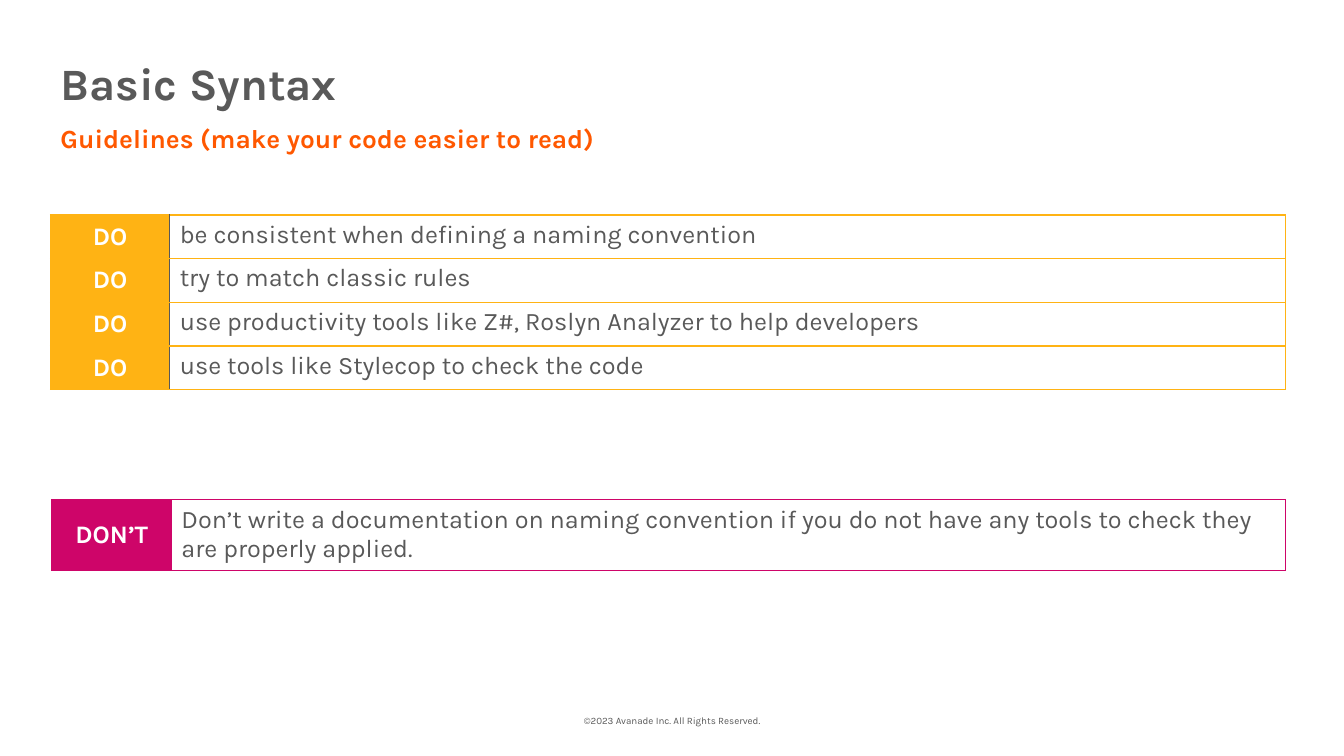
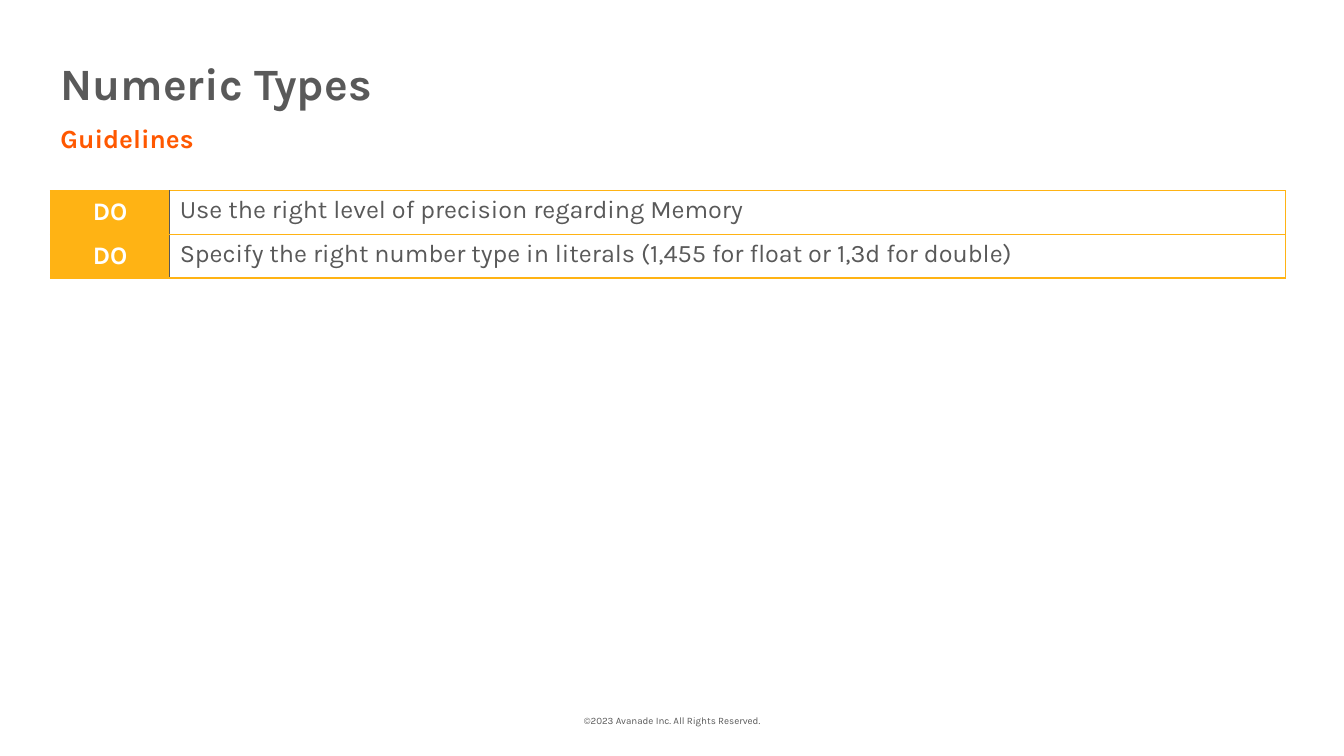
from dataclasses import dataclass

from lxml.etree import SubElement
from pptx import Presentation
from pptx.dml.color import RGBColor
from pptx.enum.text import MSO_ANCHOR as Anchor, PP_ALIGN as Align
from pptx.oxml import parse_xml
from pptx.oxml.ns import nsdecls, qn
from pptx.util import Inches, Pt


@dataclass(frozen=True)
class Theme:
    font: str = "Karla"
    ink: str = "595959"
    accent: str = "FF5800"
    paper: str = "FFFFFF"
    do: str = "FFB314"
    dont: str = "CE0569"
    title_size: float = 32
    subtitle_size: float = 18.7
    rule_size: float = 18
    footer_size: float = 7
    border: float = 1


THEME = Theme()
SLIDE_WIDTH, SLIDE_HEIGHT = Inches(13.33), Inches(7.5)
GRID_ROWS = 45  # square grid modules down the slide
MARGIN, CONTENT_WIDTH = 3, 73.5
LABEL_WIDTH, RULE_HEIGHT = 7.1, 2.6
FOOTER = "©2023 Avanade Inc. All Rights Reserved."


def grid(*modules):
    return [round(SLIDE_HEIGHT * count / GRID_ROWS) for count in modules]


def write(frame, text, size, color=THEME.ink, bold=False, align=Align.LEFT):
    frame.word_wrap = True
    paragraph = frame.paragraphs[0]
    paragraph.alignment = align
    run = paragraph.add_run()
    run.text = text
    font = run.font
    font.name, font.size, font.bold = THEME.font, Pt(size), bold
    font.color.rgb = RGBColor.from_string(color)


def add_text(slide, text, box, anchor=Anchor.TOP, **style):
    frame = slide.shapes.add_textbox(*grid(*box)).text_frame
    frame.vertical_anchor = anchor
    write(frame, text, **style)


def set_borders(cell, **colors):
    """Draw the cell's edges; colors are keyed by L, R, T and B."""
    properties = cell._tc.get_or_add_tcPr()
    for position, edge in enumerate("LRTB"):
        line = parse_xml(f'<a:ln{edge} {nsdecls("a")} w="{Pt(THEME.border)}"/>')
        fill = SubElement(line, qn("a:solidFill"))
        SubElement(fill, qn("a:srgbClr"), val=colors[edge])
        properties.insert(position, line)


def add_rules(slide, label, rules, top, color, divider, left=MARGIN,
              row_height=RULE_HEIGHT):
    """Add a table with one coloured label and one guideline in each row."""
    width = MARGIN + CONTENT_WIDTH - left
    frame = slide.shapes.add_table(
        len(rules), 2, *grid(left, top, width, row_height * len(rules)))
    table = frame.table
    table.first_row = table.horz_banding = False
    widths = grid(LABEL_WIDTH, width - LABEL_WIDTH)
    for column, column_width in zip(table.columns, widths):
        column.width = column_width

    for row, rule in zip(table.rows, rules):
        row.height, = grid(row_height)
        label_cell, rule_cell = row.cells
        label_cell.fill.solid()
        label_cell.fill.fore_color.rgb = RGBColor.from_string(color)
        label_cell.vertical_anchor = Anchor.MIDDLE
        write(label_cell.text_frame, label, THEME.rule_size,
              color=THEME.paper, bold=True, align=Align.CENTER)
        set_borders(label_cell, L=color, R=divider, T=color, B=color)
        rule_cell.fill.background()
        write(rule_cell.text_frame, rule, THEME.rule_size)
        set_borders(rule_cell, L=divider, R=color, T=color, B=color)


def add_guideline_slide(deck, title, subtitle):
    slide = deck.slides.add_slide(deck.slide_layouts[6])
    add_text(slide, FOOTER, (26.5, 41.7, 27, 2.4), anchor=Anchor.MIDDLE,
             size=THEME.footer_size, align=Align.CENTER)
    add_text(slide, title, (MARGIN, 3, CONTENT_WIDTH, 4),
             size=THEME.title_size, bold=True)
    add_text(slide, subtitle, (MARGIN, 7, CONTENT_WIDTH, 2.5),
             size=THEME.subtitle_size, color=THEME.accent, bold=True)
    return slide


def add_dos(slide, rules, top):
    add_rules(slide, "DO", rules, top, color=THEME.do, divider=THEME.ink)


def main():
    deck = Presentation()
    deck.slide_width, deck.slide_height = SLIDE_WIDTH, SLIDE_HEIGHT

    syntax = add_guideline_slide(
        deck, "Basic Syntax", "Guidelines (make your code easier to read)")
    add_dos(syntax, [
        "be consistent when defining a naming convention",
        "try to match classic rules",
        "use productivity tools like Z#, Roslyn Analyzer to help developers",
        "use tools like Stylecop to check the code",
    ], top=12.8)
    add_rules(syntax, "DON’T", [
        "Don’t write a documentation on naming convention if you do not have "
        "any tools to check they are properly applied.",
    ], top=29.75, color=THEME.dont, divider=THEME.dont, left=3.1,
        row_height=4.1)

    numbers = add_guideline_slide(deck, "Numeric Types", "Guidelines")
    add_dos(numbers, [
        "Use the right level of precision regarding Memory",
        "Specify the right number type in literals "
        "(1,455 for float or 1,3d for double)",
    ], top=11.35)

    deck.save("out.pptx")


if __name__ == "__main__":
    main()
